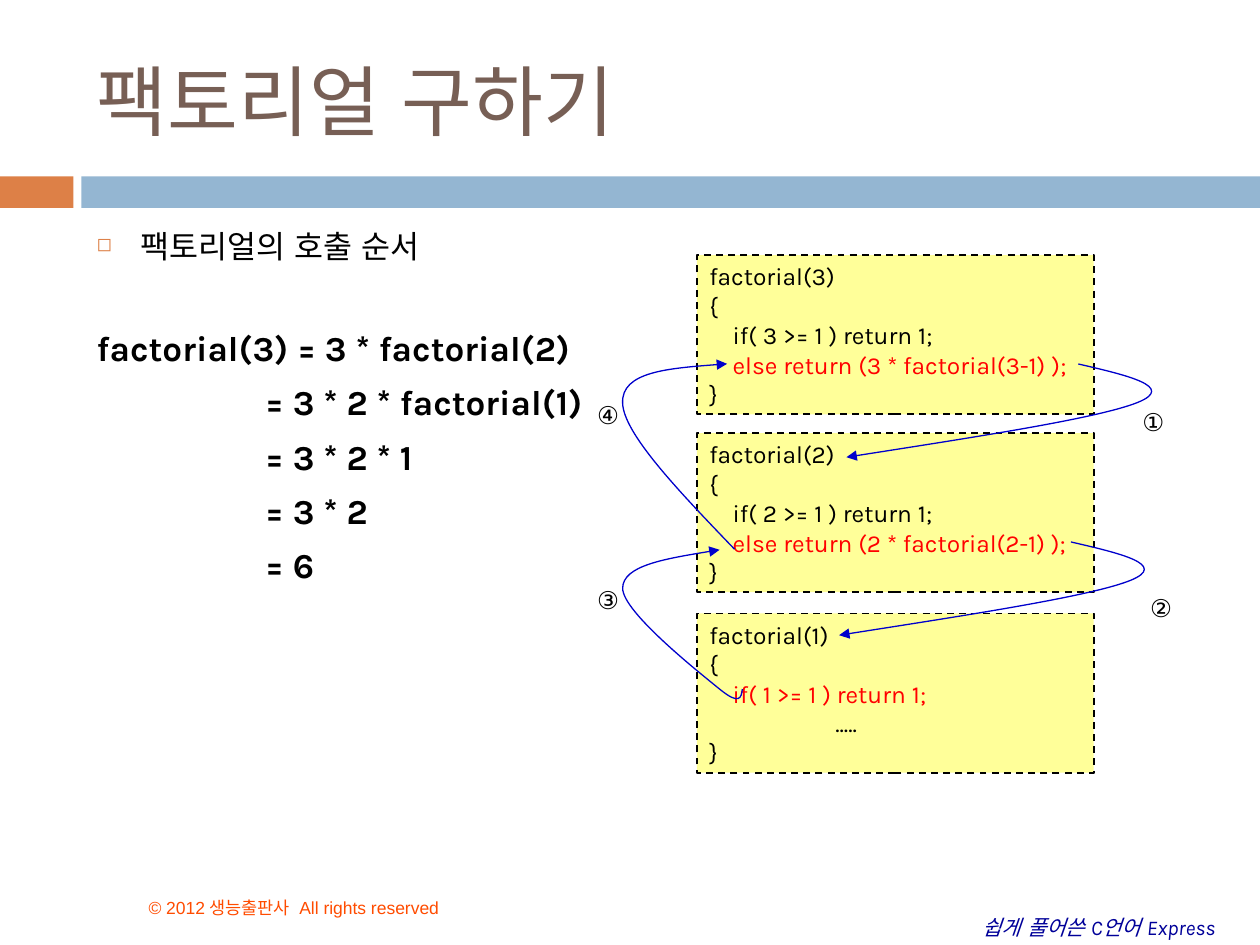
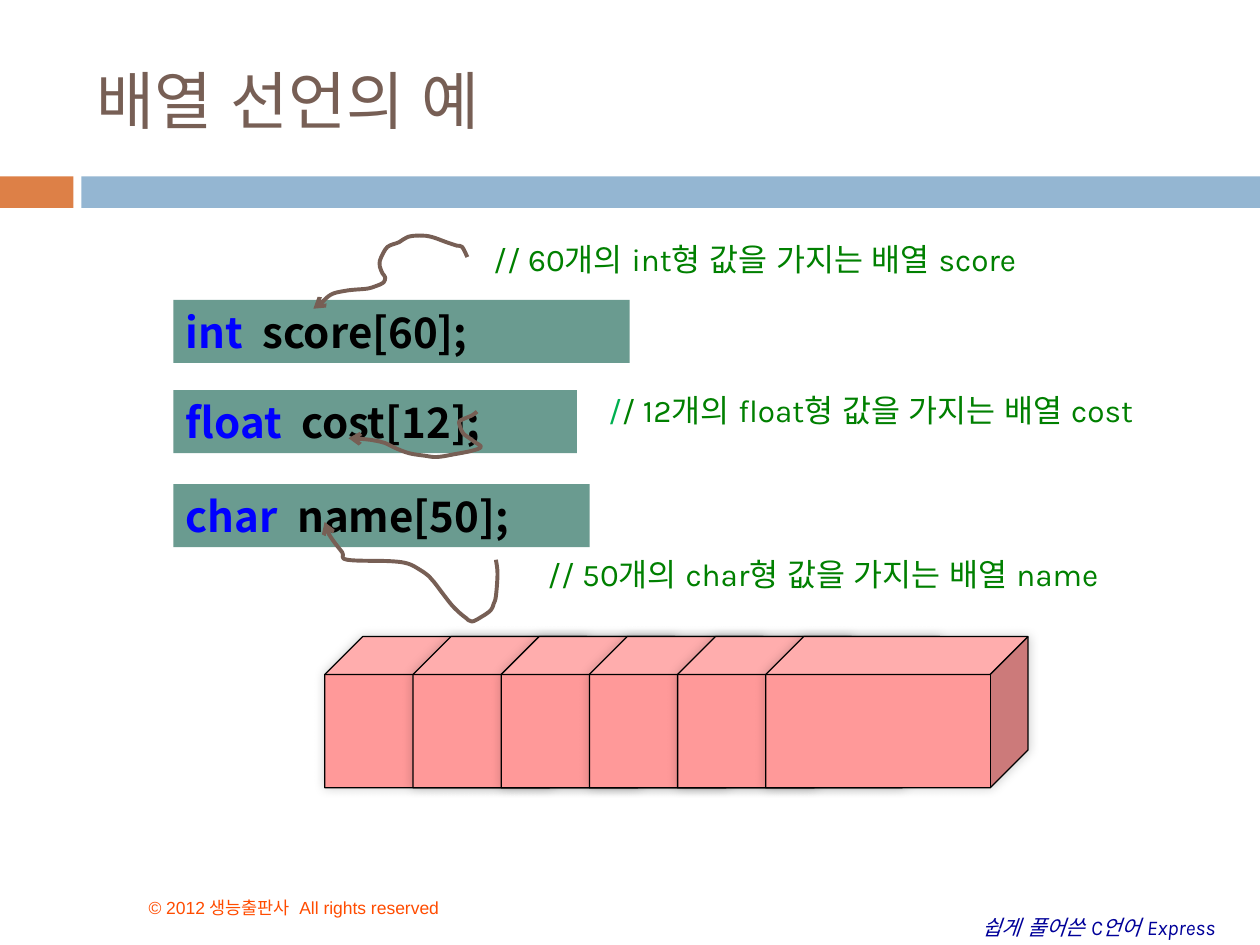
from lxml import etree
from pptx import Presentation
from pptx.dml.color import RGBColor
from pptx.enum import dml, shapes, text
from pptx.oxml import ns
from pptx.util import Pt

COLORS = {
    "orange": "DD8047", "blue_band": "94B6D2", "brown": "775F55",
    "navy": "000099", "copyright": "FF4C00", "black": "000000",
    "code_fill": "FFFF99", "red": "FF0000", "arrow": "0000CC",
    "teal": "6A9B90", "keyword": "0000FF", "comment": "008000",
    "slash": "00B050", "cube": "FF9999",
}
CODE_FACE = "Noto Sans CJK KR"
TITLE_BOX = (48.2, 18, 642.2, 77.8)
BODY_BOX = (48.2, 126, 642.2, 354.2)


def rgb(name):
    return RGBColor.from_string(COLORS[name])


def add_xml(parent, tag, **attributes):
    child = etree.SubElement(parent, ns.qn(tag))
    for key, value in attributes.items():
        child.set(key, str(value))
    return child


def set_font(font, face, size, color, bold=False, italic=False):
    font.name, font.size = face, Pt(size)
    font.bold, font.italic = bold, italic
    font.color.rgb = rgb(color)
    korean_face = face if face == CODE_FACE else "Arial"
    add_xml(font._element, "a:ea", typeface=korean_face)


def add_line(frame, content, face, size, color, first=False, **style):
    """Add one paragraph; content is a string or a list of (text, colour)."""
    line = frame.paragraphs[0] if first else frame.add_paragraph()
    line.alignment = text.PP_ALIGN.LEFT
    if "\t" in content:
        tabs = add_xml(line._p.get_or_add_pPr(), "a:tabLst")
        add_xml(tabs, "a:tab", pos=Pt(72), algn="l")
    set_font(line.font, face, size, color, **style)
    if isinstance(content, str):
        line.add_run().text = content
    else:
        for words, run_color in content:
            run = line.add_run()
            run.text = words
            run.font.color.rgb = rgb(run_color)
    return line


def add_text(slide, box, content, face, size, color, wrap=True,
             anchor=text.MSO_ANCHOR.TOP, **style):
    frame = slide.shapes.add_textbox(*map(Pt, box)).text_frame
    frame.word_wrap, frame.vertical_anchor = wrap, anchor
    add_line(frame, content, face, size, color, first=True, **style)


def add_block(slide, box, fill, kind=shapes.MSO_SHAPE.RECTANGLE, line=None):
    block = slide.shapes.add_shape(kind, *map(Pt, box))
    block.shadow.inherit = False
    block.fill.solid()
    block.fill.fore_color.rgb = rgb(fill)
    if line:
        block.line.color.rgb = rgb("black")
        block.line.width = Pt(line)
    else:
        block.line.fill.background()
    block.text_frame.vertical_anchor = text.MSO_ANCHOR.TOP
    return block


def smooth(points):
    """Turn points to pass through into a chain of cubic control points."""
    padded = [points[0], *points, points[-1]]
    chain = [points[0]]
    for before, start, end, after in zip(padded, padded[1:], padded[2:],
                                         padded[3:]):
        chain.append(tuple(s + (e - b) / 6
                           for b, s, e in zip(before, start, end)))
        chain.append(tuple(e - (a - s) / 6
                           for s, e, a in zip(start, end, after)))
        chain.append(end)
    return chain


def add_curve(slide, origin, chain, color, width, head):
    """Draw cubic curves: a start, then three control points per curve."""
    left, top = origin
    track = [(Pt(left + x), Pt(top + y)) for x, y in chain]
    builder = slide.shapes.build_freeform(*track[0])
    builder.add_line_segments(track[1:], close=False)
    curve = builder.convert_to_shape()
    outline = next(curve._element.iter(ns.qn("a:path")))
    segments = outline.findall(ns.qn("a:lnTo"))
    for i in range(0, len(segments), 3):
        cubic = add_xml(outline, "a:cubicBezTo")
        for segment in segments[i:i + 3]:
            cubic.append(segment[0])
            outline.remove(segment)
    curve.shadow.inherit = False
    curve.fill.background()
    curve.line.color.rgb = rgb(color)
    curve.line.width = Pt(width)
    add_xml(curve.line._get_or_add_ln(), "a:tailEnd", type=head)


# Shared frame: bands, footers, title
def add_frame(prs, title, title_size):
    slide = prs.slides.add_slide(prs.slide_layouts[6])
    add_block(slide, (0, 100.8, 42, 18), "orange")
    add_block(slide, (46.5, 100.8, 673.5, 18), "blue_band")
    add_text(slide, (554.4, 519.1, 157, 21.6), "쉽게 풀어쓴 C언어 Express",
             "Karla", 12, "navy", wrap=False, italic=True)
    add_text(slide, (77.8, 498.2, 275.8, 30.2),
             "© 2012 생능출판사  All rights reserved", "Arial", 10, "copyright",
             anchor=text.MSO_ANCHOR.BOTTOM)
    add_text(slide, TITLE_BOX, title, "Cabin", title_size, "brown",
             anchor=text.MSO_ANCHOR.MIDDLE)
    return slide


# Bulleted heading and the expansion below it
def add_expansion(slide, box):
    frame = slide.shapes.add_textbox(*map(Pt, box)).text_frame
    frame.word_wrap = True
    props = frame.paragraphs[0]._p.get_or_add_pPr()
    props.set("marL", str(Pt(25.2)))
    props.set("indent", str(-Pt(25.2)))
    add_xml(add_xml(props, "a:buClr"), "a:srgbClr", val=COLORS["orange"])
    add_xml(props, "a:buSzPct", val=60000)
    add_xml(props, "a:buChar", char="◻")
    add_line(frame, "팩토리얼의 호출 순서", "Karla", 18, "black", first=True)

    call = add_line(frame, "factorial(3) = 3 * factorial(2)", "Karla", 20,
                    "black", bold=True)
    call.space_before = Pt(35.5)
    for result in ("3 * 2 * factorial(1)", "3 * 2 * 1", "3 * 2", "6"):
        step = add_line(frame, "= " + result, "Karla", 20, "black", bold=True)
        step.space_before = Pt(7)
        step._p.get_or_add_pPr().set("marL", str(Pt(96.2)))


# Three stacked calls with numbered arrows
def add_call_stack(slide, box):
    left, top, width, height = box
    for n, y in ((3, -0.4), (2, 101.3), (1, 204.4)):
        call = add_block(slide, (left, top + y, width, 91), "code_fill",
                         line=1)
        call.line.dash_style = dml.MSO_LINE.DASH
        test = f"if( {n} >= 1 ) return 1;"
        if n > 1:
            body = ["    " + test,
                    [("    ", "black"),
                     (f"else return ({n} * factorial({n}-1) );", "red")]]
        else:
            body = [[("    ", "black"), (test, "red")], "\t....."]
        for row, code in enumerate([f"factorial({n})", "{", *body, "}"]):
            add_line(call.text_frame, code, "Karla", 14, "black",
                     first=row == 0)

    for number, x, y in (("①", 247.6, 82.8), ("②", 252, 189.4),
                         ("③", -64, 184.6), ("④", -64, 78.8)):
        add_text(slide, (left + x, top + y, 28.8, 23.8), number,
                 "Comic Neue", 14, "black", wrap=False)

    going_in = [(0, 0), (28, 6.5), (56, 13), (34, 22),
                (11.5, 31), (-60.5, 42), (-132.5, 53.3)]
    back_to_3 = [(0, 0), (-31.7, -33), (-63.4, -66), (-64, -83.5),
                 (-64.8, -101.5), (-34.6, -103.7), (-4.3, -106)]
    back_to_2 = [(0, 0), (-0.7, 5), (-1.4, 9.4), (-13, 0),
                 (-24.5, -9.4), (-68.4, -44), (-68.4, -57.6),
                 (-68.4, -70.6), (-41, -75), (-13, -79.6)]
    for x, y, chain in ((218, 61.8, going_in), (213.8, 163.5, going_in),
                        (21.6, 167.7, back_to_3), (26, 247.6, back_to_2)):
        add_curve(slide, (left + x, top + y), chain, "arrow", 0.75, "triangle")


# One declaration with its comment and hand-drawn arrow
def add_declaration(slide, box, code, comment, comment_box, scribble):
    left, top, width, height = box
    keyword, rest = code
    frame = add_block(slide, box, "teal").text_frame
    frame.word_wrap = True
    add_line(frame, [(keyword, "keyword"), ("  " + rest, "black")],
             CODE_FACE, 24, "black", first=True, bold=True)
    x, y, comment_width = comment_box
    add_text(slide, (left + x, top + y, comment_width, 28.8), comment,
             "Karla", 18, "comment")
    add_curve(slide, (left, top), smooth(scribble), "brown", 2.25, "arrow")


# Row of overlapping cubes
def add_cubes(slide, box, count=6, pitch=50.4):
    left, top, width, height = box
    cube_width = width - (count - 1) * pitch
    for i in range(count):
        cube = add_block(slide, (left + i * pitch, top, cube_width, height),
                         "cube", shapes.MSO_SHAPE.CUBE, line=0.75)
        effects = cube._element.spPr.find(ns.qn("a:effectLst"))
        shadow = add_xml(effects, "a:outerShdw", blurRad=Pt(6), dist=0,
                         dir=315 * 60000, rotWithShape=0)
        shade = add_xml(shadow, "a:srgbClr", val=COLORS["black"])
        add_xml(shade, "a:alpha", val=20000)


# Arrow tracks, measured from the corner of their declaration
SCORE_ARROW = [
    (168, -24.5), (165, -30.3), (162, -31), (156, -33), (147.6, -36),
    (141, -36.8), (134, -36), (129, -33), (122.4, -30.3), (118.8, -24.5),
    (118, -22.4), (118, -19), (119.5, -15.2), (121, -13), (120.2, -10),
    (116, -8), (111, -6.5), (103, -5.8), (97, -5), (90, -3), (83.5, 2.8),
    (80, 5)]
COST_ARROW = [
    (173.5, 12.2), (170.6, 14.4), (164, 17.3), (163.4, 19.4), (165.5, 24.5),
    (170, 28), (172, 29.5), (175.7, 32.4), (170.6, 34.6), (160, 36.7),
    (150.5, 38.2), (143.3, 37.4), (134.6, 36), (126.7, 33), (121, 30.2),
    (115.2, 28.8), (109.4, 28), (100, 27.4)]
NAME_ARROW = [
    (184.3, 43.2), (185.2, 51), (184.3, 64), (183, 68.4), (181.4, 72),
    (176.4, 75.6), (170.6, 78.5), (167, 76.3), (163.4, 73.4), (159, 69),
    (154, 62.6), (149, 56), (146, 52.6), (141, 49), (134, 45.4), (124, 44),
    (99.4, 43.2), (96.5, 39), (91.4, 32.4), (87.5, 26), (86.4, 21.6)]


def build_factorial(prs):
    slide = add_frame(prs, "팩토리얼 구하기", 44)
    add_expansion(slide, BODY_BOX)
    add_call_stack(slide, (398.2, 146.2, 226.8, 295.4))


def build_arrays(prs):
    slide = add_frame(prs, "배열 선언의 예", 36)
    declarations = (
        (171.4, 260.8, ("int", "score[60];"),
         "// 60개의 int형 값을 가지는 배열 score",
         (175.8, -37.6, 340.6), SCORE_ARROW),
        (223, 230.6, ("float", "cost[12];"),
         [("/", "slash"), ("/ 12개의 float형 값을 가지는 배열 cost", "comment")],
         (241.4, -3, 344.2), COST_ARROW),
        (276.7, 237.8, ("char", "name[50];"),
         "// 50개의 char형 값을 가지는 배열 name",
         (206.8, 37.2, 360), NAME_ARROW),
    )
    for top, width, *parts in declarations:
        add_declaration(slide, (99.1, top, width, 36), *parts)
    add_cubes(slide, (185.6, 363.8, 401.8, 86.4))


def main():
    prs = Presentation()
    prs.slide_width, prs.slide_height = Pt(720), Pt(540)
    build_factorial(prs)
    build_arrays(prs)
    prs.save("out.pptx")


if __name__ == "__main__":
    main()
